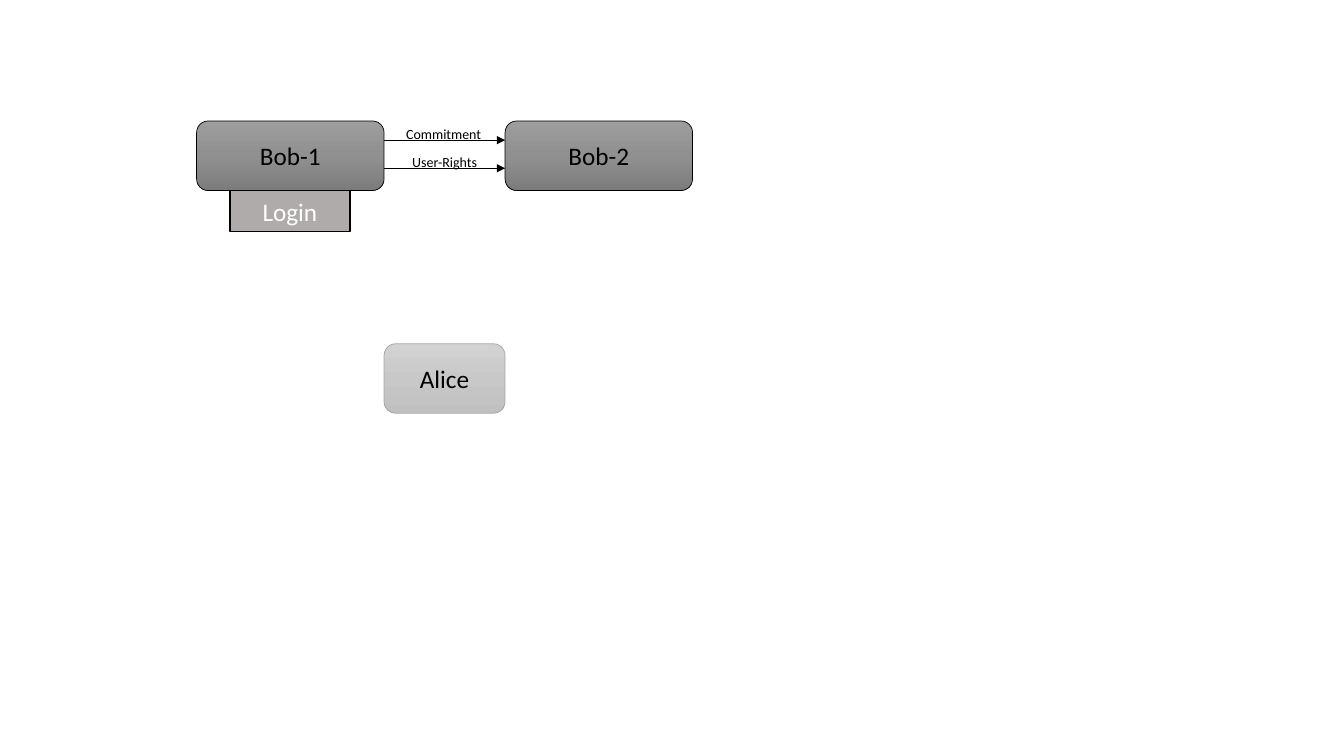
from copy import deepcopy

from pptx import Presentation
from pptx.dml.color import RGBColor
from pptx.enum.shapes import MSO_CONNECTOR, MSO_SHAPE
from pptx.enum.text import MSO_ANCHOR, MSO_AUTO_SIZE, PP_ALIGN
from pptx.oxml.ns import qn
from pptx.oxml.xmlchemy import OxmlElement
from pptx.util import Inches, Pt

BLACK = RGBColor(0x00, 0x00, 0x00)
WHITE = RGBColor(0xFF, 0xFF, 0xFF)
LOGIN_GRAY = RGBColor(0xAF, 0xAB, 0xAB)
ALICE_LINE = RGBColor(0xA5, 0xA5, 0xA5)
BOB_GRADIENT = [
    RGBColor(0x9D, 0x9D, 0x9D),
    RGBColor(0x90, 0x90, 0x90),
    RGBColor(0x7C, 0x7C, 0x7C),
]
ALICE_GRADIENT = [
    RGBColor(0xD2, 0xD2, 0xD2),
    RGBColor(0xC8, 0xC8, 0xC8),
    RGBColor(0xC0, 0xC0, 0xC0),
]

PARTY_TOP = 1.2
PARTY_HEIGHT = 0.69
BOB_WIDTH = 1.86
BOB_1_LEFT = 1.95
BOB_1_RIGHT = BOB_1_LEFT + BOB_WIDTH
GAP = 1.2
BOB_2_LEFT = BOB_1_RIGHT + GAP


def write_text(shape, text, size, color):
    paragraph = shape.text_frame.paragraphs[0]
    paragraph.text = text
    paragraph.font.size = Pt(size)
    paragraph.font.name = "Calibri"
    paragraph.font.color.rgb = color
    return paragraph


def add_box(slide, kind, text, left, top, width, height, text_color, line_color, line_width):
    shape = slide.shapes.add_shape(
        kind, Inches(left), Inches(top), Inches(width), Inches(height)
    )
    shape.shadow.inherit = False
    shape.line.color.rgb = line_color
    shape.line.width = Pt(line_width)
    shape.text_frame.vertical_anchor = MSO_ANCHOR.MIDDLE
    write_text(shape, text, 18, text_color).alignment = PP_ALIGN.CENTER
    return shape


def fill_gradient(shape, colors):
    shape.fill.gradient()
    shape.fill.gradient_angle = 270
    first_stop = shape._element.spPr.find(".//" + qn("a:gs"))
    first_stop.addnext(deepcopy(first_stop))
    for index, (stop, color) in enumerate(zip(shape.fill.gradient_stops, colors)):
        stop.position = index / (len(colors) - 1)
        stop.color.rgb = color


def add_party(slide, name, left, top, width, colors, line_color):
    shape = add_box(
        slide, MSO_SHAPE.ROUNDED_RECTANGLE, name, left, top, width, PARTY_HEIGHT,
        BLACK, line_color, 0.5,
    )
    fill_gradient(shape, colors)


def add_login(slide):
    shape = add_box(
        slide, MSO_SHAPE.RECTANGLE, "Login", 2.28, PARTY_TOP + PARTY_HEIGHT, 1.19, 0.41,
        WHITE, BLACK, 1,
    )
    shape.fill.solid()
    shape.fill.fore_color.rgb = LOGIN_GRAY


def add_message(slide, text, arrow_top, label_left, label_top):
    arrow = slide.shapes.add_connector(
        MSO_CONNECTOR.STRAIGHT,
        Inches(BOB_1_RIGHT), Inches(arrow_top), Inches(BOB_2_LEFT), Inches(arrow_top),
    )
    arrow.line.color.rgb = BLACK
    arrow.line.width = Pt(0.5)
    tail = OxmlElement("a:tailEnd")
    tail.set("type", "triangle")
    arrow.line._get_or_add_ln().append(tail)
    arrow._element.spPr.append(OxmlElement("a:effectLst"))

    label = slide.shapes.add_textbox(
        Inches(label_left), Inches(label_top), Inches(1.01), Inches(0.27)
    )
    label.text_frame.word_wrap = True
    label.text_frame.auto_size = MSO_AUTO_SIZE.SHAPE_TO_FIT_TEXT
    write_text(label, text, 10, BLACK)


def main():
    presentation = Presentation()
    presentation.slide_width = Inches(13.33)
    presentation.slide_height = Inches(7.5)
    slide = presentation.slides.add_slide(presentation.slide_layouts[6])

    add_party(slide, "Bob-1", BOB_1_LEFT, PARTY_TOP, BOB_WIDTH, BOB_GRADIENT, BLACK)
    add_party(slide, "Bob-2", BOB_2_LEFT, PARTY_TOP, BOB_WIDTH, BOB_GRADIENT, BLACK)
    add_party(slide, "Alice", BOB_1_RIGHT, 3.41, GAP, ALICE_GRADIENT, ALICE_LINE)
    add_login(slide)
    add_message(slide, "Commitment", 1.39, 3.93, 1.2)
    add_message(slide, "User-Rights", 1.67, 3.99, 1.47)

    presentation.save("out.pptx")


main()
